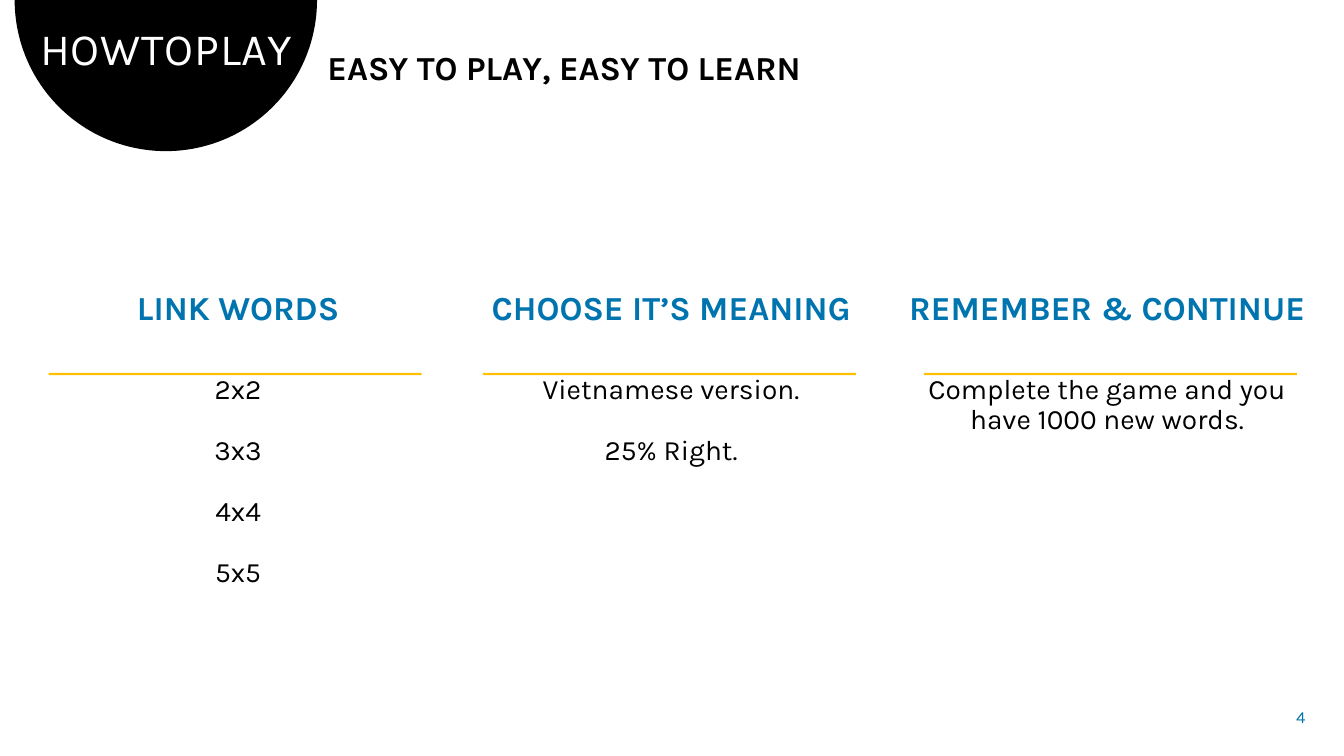
from dataclasses import dataclass
from math import cos, pi, sin

from pptx import Presentation
from pptx.dml.color import RGBColor
from pptx.enum.shapes import MSO_SHAPE as Preset
from pptx.enum.text import MSO_ANCHOR as Anchor, PP_ALIGN as Align
from pptx.shapes.autoshape import Shape
from pptx.slide import Slide
from pptx.util import Inches, Pt

COLORS = {"black": "000000", "white": "FFFFFF", "blue": "0074AF", "gold": "FFC000"}
FONT = "Karla"
SLIDE_WIDTH, SLIDE_HEIGHT = Inches(13.33), Inches(7.5)
COLUMNS, ROWS = 160, 90
PANEL_TOP, RULE_TOP = 34.1, 44.4
RULE_WIDTH, RULE_HEIGHT = 44.4, 0.25
BADGE_CENTER, BADGE_RADIUS, BADGE_STEPS = 19.75, 18, 90


@dataclass(frozen=True)
class Box:
    left: float
    top: float
    width: float
    height: float


@dataclass(frozen=True)
class Panel:
    heading: str
    lines: tuple[str, ...]
    left: float
    width: float
    height: float
    rule_left: float


PANELS = (
    Panel("LINK WORDS", ("2x2", "3x3", "4x4", "5x5"), 4, 48.7, 37, 5.8),
    Panel("CHOOSE IT’S MEANING", ("Vietnamese version.", "25% Right."), 54.7, 50.4, 22.3, 57.5),
    Panel("REMEMBER & CONTINUE", ("Complete the game and you have 1000 new words.",),
          107, 49.6, 18.6, 110),
)


def across(columns: float) -> int:
    return round(SLIDE_WIDTH * columns / COLUMNS)


def down(rows: float) -> int:
    return round(SLIDE_HEIGHT * rows / ROWS)


def place(box: Box) -> tuple[int, int, int, int]:
    return across(box.left), down(box.top), across(box.width), down(box.height)


def paint(shape: Shape, color: str) -> None:
    shape.shadow.inherit = False
    shape.fill.solid()
    shape.fill.fore_color.rgb = RGBColor.from_string(COLORS[color])
    shape.line.fill.background()


def add_text_box(slide: Slide, box: Box, *, wrap: bool = True, anchor: Anchor = Anchor.TOP) -> Shape:
    shape = slide.shapes.add_textbox(*place(box))
    shape.text_frame.word_wrap = wrap
    shape.text_frame.vertical_anchor = anchor
    return shape


def write(shape: Shape, text: str, *, size: float, color: str, bold: bool = False,
          align: Align = Align.CENTER, line: float = 0.9, before: float = 0,
          after: float = 0, tracking: float = 0) -> None:
    frame = shape.text_frame
    paragraph = frame.add_paragraph() if frame.text else frame.paragraphs[0]
    paragraph.alignment = align
    paragraph.line_spacing = line
    paragraph.space_before, paragraph.space_after = Pt(before), Pt(after)
    run = paragraph.add_run()
    run.text = text
    run.font.name, run.font.size, run.font.bold = FONT, Pt(size), bold
    run.font.color.rgb = RGBColor.from_string(COLORS[color])
    if tracking:
        run._r.get_or_add_rPr().set("spc", str(round(tracking * 100)))


def draw_badge(slide: Slide) -> None:
    center, radius = across(BADGE_CENTER), across(BADGE_RADIUS)
    angles = [pi * step / BADGE_STEPS for step in range(BADGE_STEPS + 1)]
    points = [(round(center + radius * cos(angle)), round(radius * sin(angle))) for angle in angles]
    outline = slide.shapes.build_freeform(*points[0])
    outline.add_line_segments(points[1:], close=True)
    paint(outline.convert_to_shape(), "black")


def draw_panel(slide: Slide, panel: Panel) -> None:
    body = add_text_box(slide, Box(panel.left, PANEL_TOP, panel.width, panel.height))
    write(body, panel.heading, size=24, color="blue", bold=True, before=10, after=24)
    for line in panel.lines:
        write(body, line, size=20, color="black", before=10, after=12)
    rule = Box(panel.rule_left, RULE_TOP, RULE_WIDTH, RULE_HEIGHT)
    paint(slide.shapes.add_shape(Preset.RECTANGLE, *place(rule)), "gold")


def main() -> None:
    presentation = Presentation()
    presentation.slide_width, presentation.slide_height = SLIDE_WIDTH, SLIDE_HEIGHT
    slide = presentation.slides.add_slide(presentation.slide_layouts[6])

    draw_badge(slide)
    for panel in PANELS:
        draw_panel(slide, panel)

    title = add_text_box(slide, Box(3, 2.6, 33.6, 12.8))
    write(title, "HOWTOPLAY", size=32, color="white", tracking=0.6)
    subtitle = add_text_box(slide, Box(37.8, 5.5, 119.2, 5.5))
    write(subtitle, "EASY TO PLAY, EASY TO LEARN", size=24, color="black", bold=True,
          align=Align.LEFT, before=10)
    number = add_text_box(slide, Box(150, 82.9, 6.6, 4.8), wrap=False, anchor=Anchor.MIDDLE)
    write(number, "4", size=12, color="blue", align=Align.RIGHT, line=1)

    presentation.save("out.pptx")


if __name__ == "__main__":
    main()
